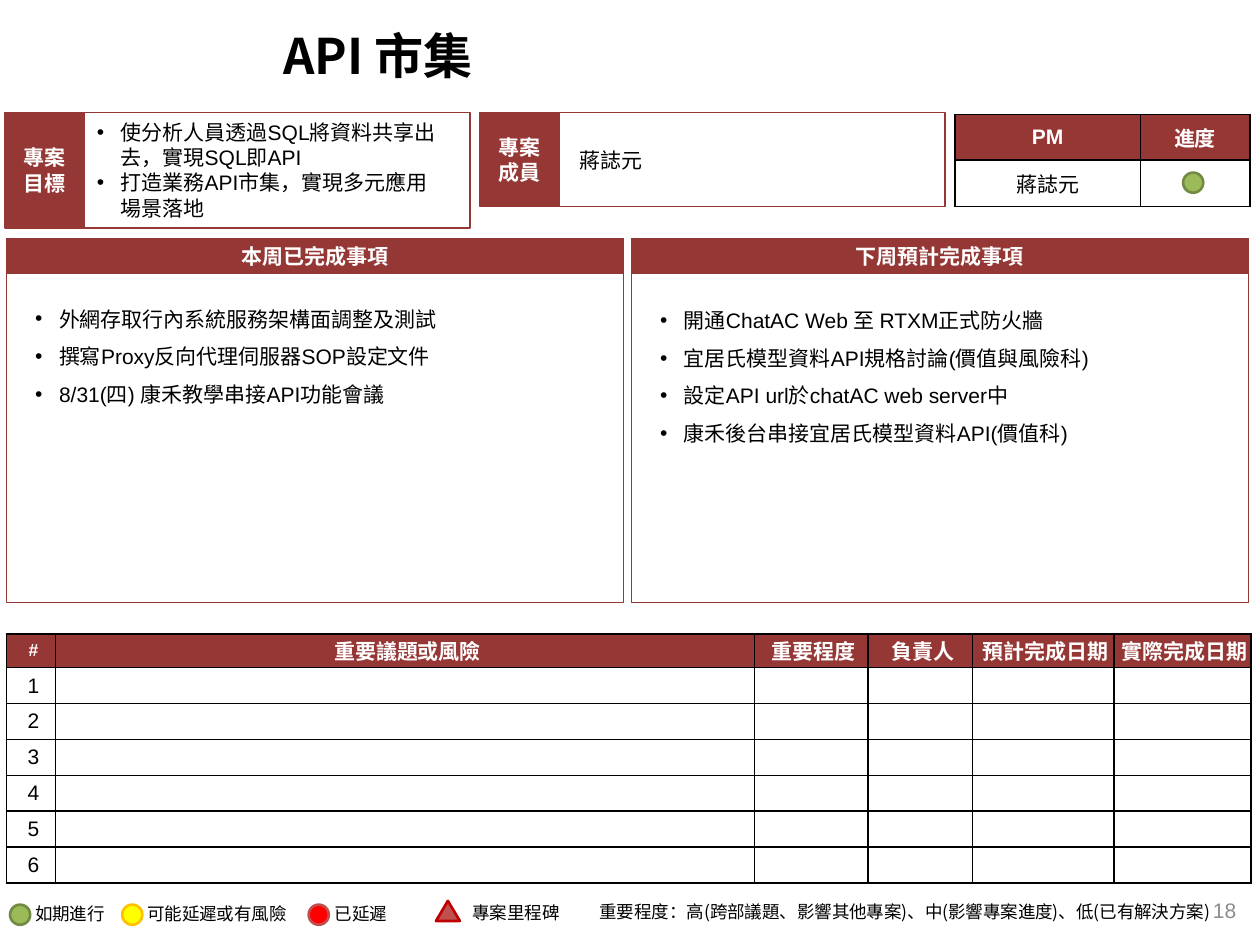
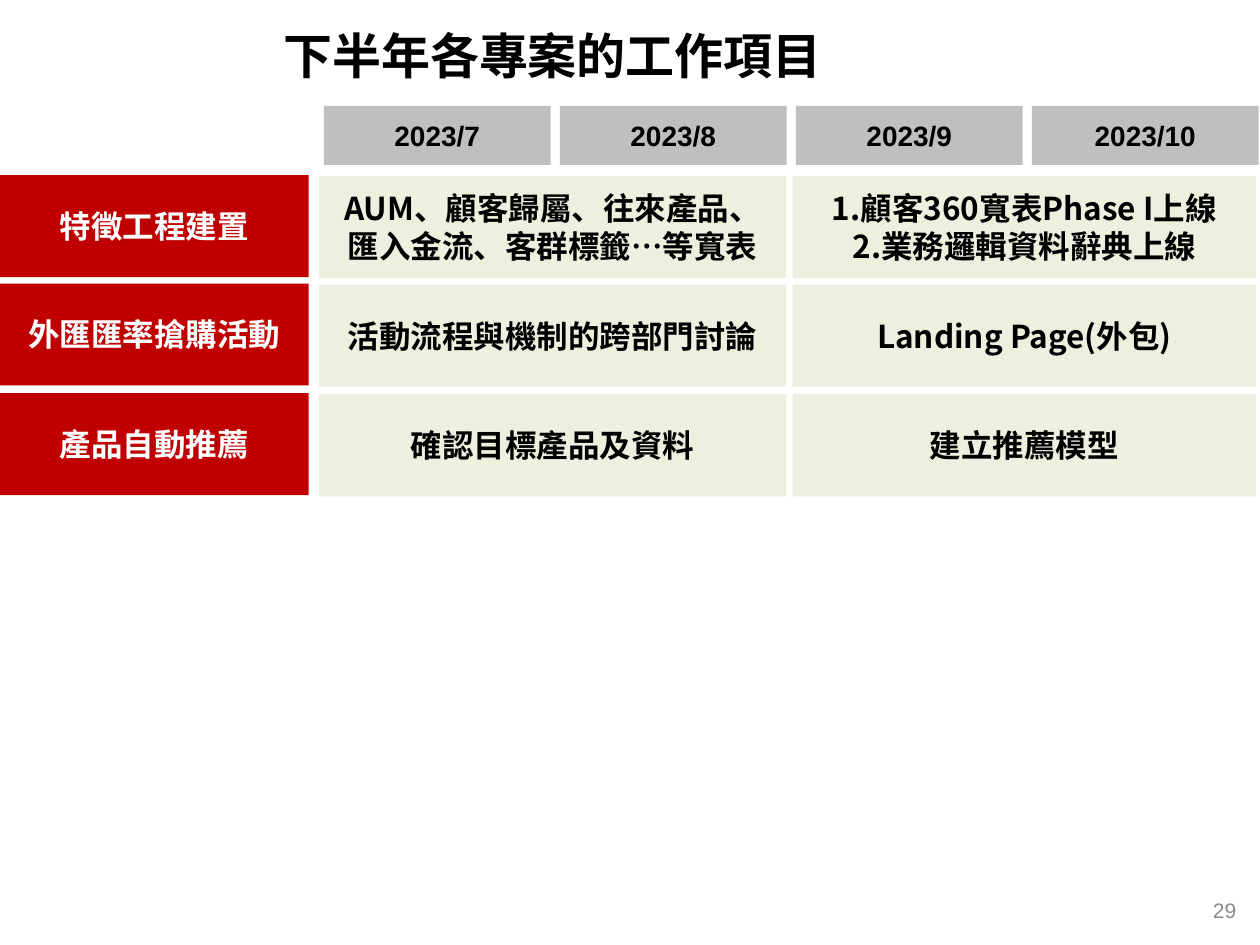
import pptx
import pptx.dml.color
import pptx.enum.shapes
import pptx.enum.text
import pptx.oxml.ns
import pptx.util
import lxml.etree

Inches = pptx.util.Inches
Pt = pptx.util.Pt
SHAPES = pptx.enum.shapes.MSO_SHAPE
ALIGN = pptx.enum.text.PP_ALIGN
ANCHOR = pptx.enum.text.MSO_ANCHOR
qn = pptx.oxml.ns.qn

COLORS = {
    "maroon": "953735", "red": "C00000", "brick": "C0504D", "alert": "FF0000",
    "green": "9BBB59", "moss": "738A42", "yellow": "FFFF00", "amber": "FFC000",
    "gray": "BFBFBF", "mint": "EBF1DE", "number": "8C8C8C",
    "black": "000000", "white": "FFFFFF",
}
LATIN, SIMPLE, TRADITIONAL = "Arial", "Noto Sans CJK SC", "Noto Sans CJK TC"

TITLE = {"size": 28, "bold": True, "name": SIMPLE}
BODY = {"size": 12}
NOTE = {"size": 10, "name": SIMPLE}
HEADING = {"size": 12, "bold": True, "color": "white", "align": ALIGN.CENTER}
MONTH = {"size": 16, "bold": True, "align": ALIGN.CENTER}
PROJECT = {"size": 18, "bold": True, "color": "white", "align": ALIGN.CENTER}
TASK = {"size": 18, "bold": True, "name": TRADITIONAL, "align": ALIGN.CENTER}


def rgb(name):
    return pptx.dml.color.RGBColor.from_string(COLORS[name])


def child(parent, tag, **attributes):
    return lxml.etree.SubElement(parent, qn(tag), attributes)


# ---- Text ----
def write(frame, lines, size, bold=False, color="black", name=LATIN,
          align=ALIGN.LEFT, spacing=None, bullet=False):
    for index, line in enumerate(lines):
        para = frame.paragraphs[0] if index == 0 else frame.add_paragraph()
        for key, value in {"alignment": align, "line_spacing": spacing}.items():
            setattr(para, key, value)
        if bullet:
            properties = para._p.get_or_add_pPr()
            properties.set("marL", str(Inches(0.19)))
            properties.set("indent", str(-Inches(0.19)))
            child(properties, "a:buFont", typeface=LATIN)
            child(properties, "a:buChar", char="•")
        span = para.add_run()
        span.text = line
        formats = {"size": Pt(size), "bold": bold, "name": name}
        for key, value in formats.items():
            setattr(span.font, key, value)
        span.font.color.rgb = rgb(color)
        east_asian = SIMPLE if name == LATIN else name
        child(span._r.get_or_add_rPr(), "a:ea", typeface=east_asian)


def add_text(page, area, lines, style, anchor=ANCHOR.TOP, wrap=True):
    box = page.shapes.add_textbox(*map(Inches, area))
    box.text_frame.word_wrap = wrap
    box.text_frame.vertical_anchor = anchor
    write(box.text_frame, lines, **style)
    return box


# ---- Shapes ----
def add_figure(page, kind, area, fill=None, line=None, width=0.75,
               lines=(), style=None):
    figure = page.shapes.add_shape(kind, *map(Inches, area))
    figure.shadow.inherit = False
    if fill:
        figure.fill.solid()
        figure.fill.fore_color.rgb = rgb(fill)
    else:
        figure.fill.background()
    if line:
        figure.line.color.rgb = rgb(line)
        figure.line.width = Pt(width)
    else:
        figure.line.fill.background()
    if lines:
        figure.text_frame.word_wrap = True
        figure.text_frame.vertical_anchor = ANCHOR.MIDDLE
        write(figure.text_frame, lines, **style)
    return figure


def add_box(page, area, **options):
    return add_figure(page, SHAPES.RECTANGLE, area, **options)


def add_dot(page, left, top, fill, line):
    add_figure(page, SHAPES.OVAL, (left, top, 0.16, 0.16), fill, line, 1.5)


def add_labelled_frame(page, left, label, height):
    add_box(page, (left, 0.89, 0.63, height), fill="maroon", line="maroon",
            lines=label, style=HEADING)
    add_box(page, (left + 0.63, 0.89, 3.06, height), line="maroon")


def add_panel(page, left, heading, items, text_area):
    add_box(page, (left, 1.89, 4.9, 0.28), fill="maroon", line="maroon",
            lines=[heading], style=HEADING)
    add_box(page, (left, 2.17, 4.9, 2.61), line="maroon")
    add_text(page, text_area, items, {**BODY, "spacing": 1.5, "bullet": True})


# ---- Tables ----
def border_cell(cell):
    properties = cell._tc.get_or_add_tcPr()
    for position, side in enumerate(("a:lnL", "a:lnR", "a:lnT", "a:lnB")):
        edge = lxml.etree.Element(qn(side), w=str(Pt(1)))
        child(child(edge, "a:solidFill"), "a:srgbClr", val=COLORS["black"])
        properties.insert(position, edge)


def add_grid(page, area, widths, heights, rows, margins=None, first_style=None):
    table = page.shapes.add_table(len(rows), len(widths),
                                  *map(Inches, area)).table
    for column, width in zip(table.columns, widths):
        column.width = Inches(width)
    for row, height in zip(table.rows, heights):
        row.height = Inches(height)
    for r, texts in enumerate(rows):
        for c, text in enumerate(texts):
            cell = table.cell(r, c)
            cell.vertical_anchor = ANCHOR.MIDDLE
            for key, value in (margins or {}).items():
                setattr(cell, key, Inches(value))
            cell.fill.solid()
            cell.fill.fore_color.rgb = rgb("white" if r else "maroon")
            border_cell(cell)
            style = {**BODY, "align": ALIGN.CENTER} if r else HEADING
            if (r, c) == (0, 0) and first_style:
                style = first_style
            if text:
                write(cell.text_frame, [text], **style)
            else:
                child(cell.text_frame.paragraphs[0]._p, "a:endParaRPr",
                      sz=str(BODY["size"] * 100))


# ---- Pages ----
def add_page(deck, title, number):
    page = deck.slides.add_slide(deck.slide_layouts[6])
    add_text(page, (7.66, 7.02, 2.25, 0.4), [number],
             {"size": 12, "color": "number", "align": ALIGN.RIGHT},
             ANCHOR.MIDDLE)
    add_text(page, (2.15, 0.09, 7.62, 0.69), [title], TITLE, ANCHOR.MIDDLE)
    return page


def add_legend(page):
    states = [
        (0.08, 0.18, 0.76, "如期進行", "green", "moss"),
        (0.97, 1.07, 1.32, "可能延遲或有風險", "yellow", "amber"),
        (2.45, 2.56, 0.62, "已延遲", "alert", "brick"),
    ]
    for dot_left, text_left, width, label, fill, line in states:
        add_dot(page, dot_left, 7.18, fill, line)
        add_text(page, (text_left, 7.12, width, 0.27), [label],
                 {"size": 10}, wrap=False)
    add_figure(page, SHAPES.ISOSCELES_TRIANGLE, (3.46, 7.15, 0.19, 0.16),
               "brick", "red", 1.5)
    add_text(page, (3.65, 7.11, 1.01, 0.27), ["專案里程碑"], NOTE)
    levels = add_text(
        page, (4.66, 7.05, 5.12, 0.37),
        ["重要程度：高(跨部議題、影響其他專案)、中(影響專案進度)、低(已有解決方案)"],
        NOTE)
    levels.text_frame.margin_top = Inches(0.1)


def build_status_page(deck):
    page = add_page(deck, "API 市集", "18")

    # Goal, members and manager
    add_grid(page, (7.58, 0.91, 2.34, 0.74), [1.47, 0.87], [0.36, 0.37],
             [["PM", "進度"], ["蔣誌元", ""]])
    add_dot(page, 9.39, 1.37, "green", "moss")
    add_labelled_frame(page, 0.04, ["專案", "目標"], 0.92)
    add_text(page, (0.67, 0.9, 2.94, 0.91),
             ["使分析人員透過SQL將資料共享出去，實現SQL即API",
              "打造業務API市集，實現多元應用場景落地"],
             {**BODY, "bullet": True})
    add_labelled_frame(page, 3.81, ["專案", "成員"], 0.75)
    add_text(page, (4.5, 1.12, 2.94, 0.3), ["蔣誌元"], {**BODY, "name": SIMPLE})

    # This week and next week
    add_panel(page, 0.05, "本周已完成事項",
              ["外網存取行內系統服務架構面調整及測試",
               "撰寫Proxy反向代理伺服器SOP設定文件",
               "8/31(四) 康禾教學串接API功能會議"],
              (0.18, 2.28, 4.48, 1.01))
    add_panel(page, 5.01, "下周預計完成事項",
              ["開通ChatAC Web 至 RTXM正式防火牆",
               "宜居氏模型資料API規格討論(價值與風險科)",
               "設定API url於chatAC web server中",
               "康禾後台串接宜居氏模型資料API(價值科)"],
              (5.14, 2.29, 4.64, 1.31))

    # Issues and risks
    headings = ["#", "重要議題或風險", "重要程度", "負責人",
                "預計完成日期", "實際完成日期"]
    issues = [[str(number)] + [""] * 5 for number in range(1, 7)]
    add_grid(page, (0.05, 5.03, 9.88, 1.98),
             [0.39, 5.55, 0.9, 0.83, 1.12, 1.09], [0.27] + [0.285] * 6,
             [headings] + issues,
             {"margin_left": 0.04, "margin_right": 0,
              "margin_top": 0, "margin_bottom": 0},
             {**HEADING, "size": 10})
    add_legend(page)


def add_card(page, left, top, width, fill, lines, style):
    height = 0.81
    add_box(page, (left, top, width, height), fill=fill)
    text_height = 0.4 if len(lines) == 1 else 0.71
    text_top = top + (height - text_height) / 2
    add_text(page, (left, text_top, width, text_height), lines, style)


def build_schedule_page(deck):
    page = add_page(deck, "下半年各專案的工作項目", "29")

    # Months
    for index, month in enumerate(["2023/7", "2023/8", "2023/9", "2023/10"]):
        add_box(page, (2.57 + 1.873 * index, 0.84, 1.8, 0.47), fill="gray",
                lines=[month], style=MONTH)

    # Projects and their tasks
    projects = [
        (1.39, "特徵工程建置",
         ["AUM、顧客歸屬、往來產品、", "匯入金流、客群標籤…等寬表"],
         ["1.顧客360寬表Phase I上線", "2.業務邏輯資料辭典上線"]),
        (2.25, "外匯匯率搶購活動",
         ["活動流程與機制的跨部門討論"], ["Landing Page(外包)"]),
        (3.12, "產品自動推薦", ["確認目標產品及資料"], ["建立推薦模型"]),
    ]
    for top, project, summer, autumn in projects:
        add_card(page, 0, top, 2.45, "red", [project], PROJECT)
        add_card(page, 2.53, top + 0.01, 3.71, "mint", summer, TASK)
        add_card(page, 6.29, top + 0.01, 3.68, "mint", autumn, TASK)


def main():
    deck = pptx.Presentation()
    deck.slide_width, deck.slide_height = Inches(10), Inches(7.5)
    build_status_page(deck)
    build_schedule_page(deck)
    deck.save("out.pptx")


if __name__ == "__main__":
    main()
